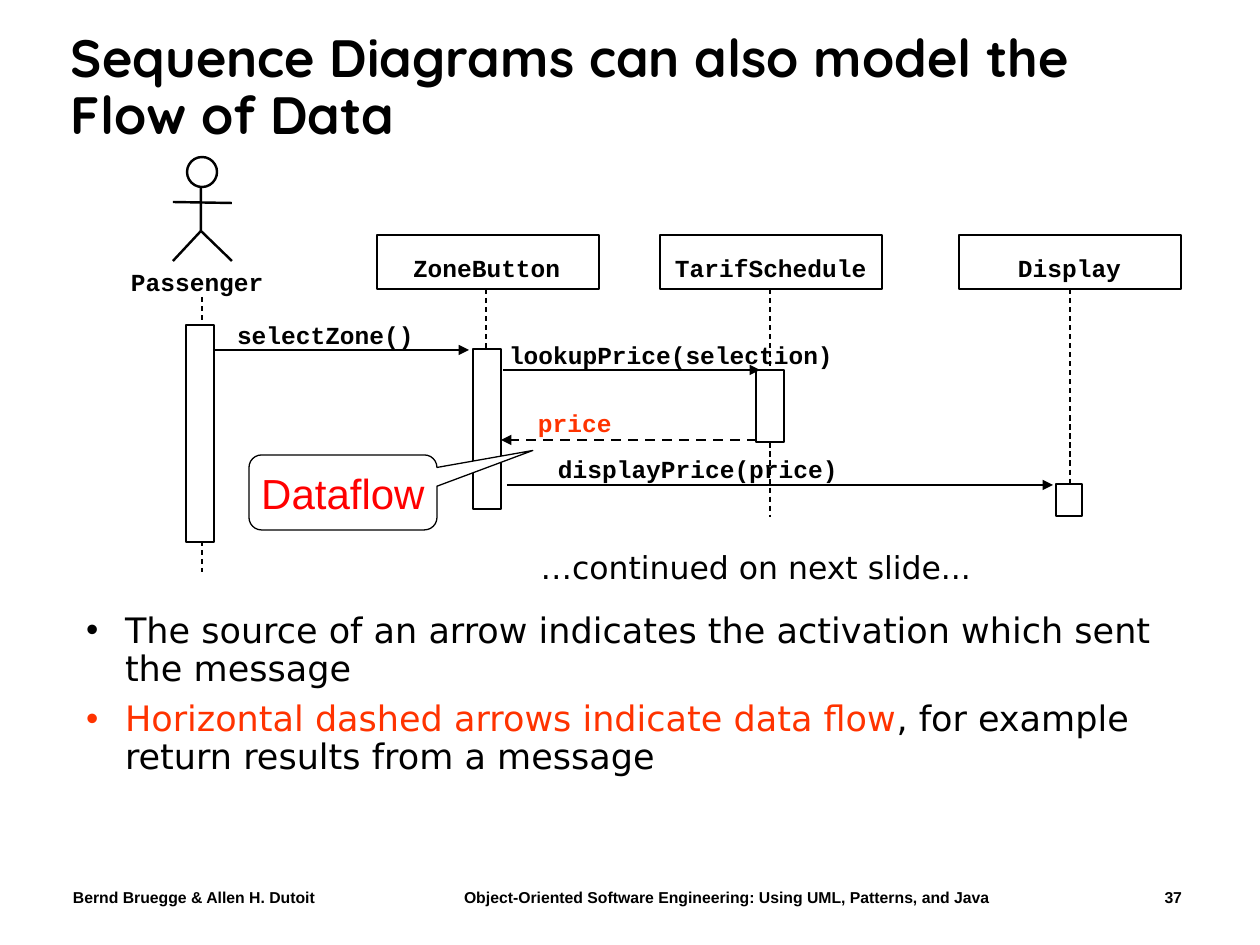
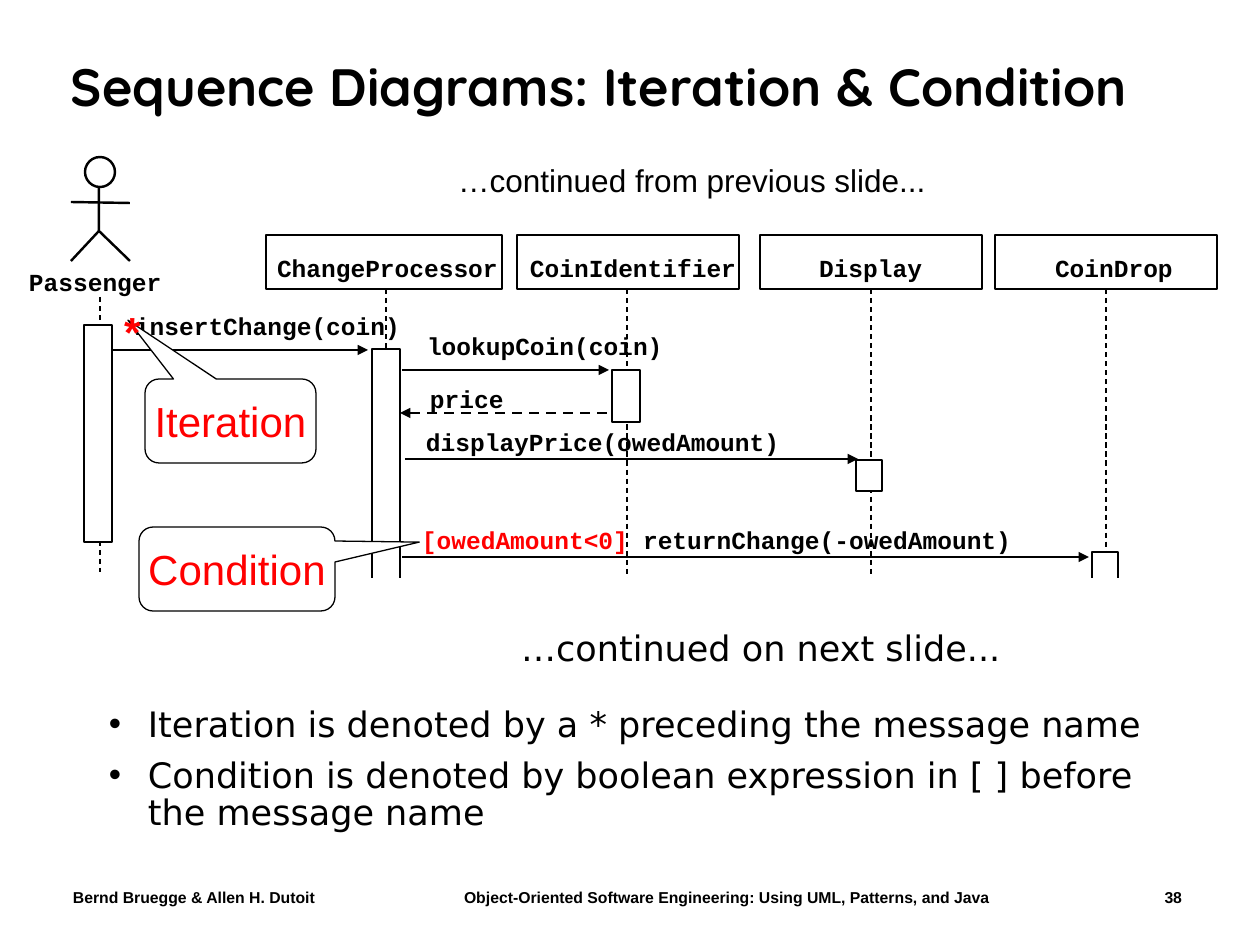
from pptx import Presentation
from pptx.dml.color import RGBColor
from pptx.enum.dml import MSO_LINE as Dash
from pptx.enum.shapes import MSO_CONNECTOR as Link, MSO_SHAPE as Form
from pptx.enum.text import MSO_ANCHOR as Anchor, PP_ALIGN as Align
from pptx.oxml.ns import qn
from pptx.util import Pt
from lxml.etree import SubElement as sub

ink = RGBColor.from_string
PX = 914400 / 126
BLACK, WHITE, RED, FIRE = "000000", "FFFFFF", "FF0000", "FF3300"
THICK, THIN = 1.39, 0.75
HEAD = ("Quicksand", 30, True)
BODY = ("DejaVu Sans", 20, False)
CODE = ("Courier New", 14, True)
CALL = ("Arial", 24, False)
FOOT = ("Arial", 9, True)
FLUSH = (0, 0, 0, 0)
PAD = (13, 6, 13, 6)


def put(slide, box, paras=(), font=CODE, form=None, fill=None, line=None, align=Align.LEFT,
        anchor=Anchor.TOP, pad=PAD, wrap=True, space=1.0, bullet=False):
    spot = [round(v * PX) for v in box]
    if form is None:
        shape = slide.shapes.add_textbox(*spot)
    else:
        shape = slide.shapes.add_shape(form, *spot)
        shape.shadow.inherit = False
    if fill:
        shape.fill.solid()
        shape.fill.fore_color.rgb = ink(fill)
    else:
        shape.fill.background()
    if line:
        shape.line.color.rgb = ink(BLACK)
        shape.line.width = Pt(line)
    else:
        shape.line.fill.background()
    frame = shape.text_frame
    frame.word_wrap = wrap
    frame.vertical_anchor = anchor
    frame.margin_left, frame.margin_top, frame.margin_right, frame.margin_bottom = [
        round(v * PX) for v in pad]
    for i, runs in enumerate(paras):
        para = frame.add_paragraph() if i else frame.paragraphs[0]
        para.alignment = align
        para.line_spacing = space
        if bullet:
            props = para._p.get_or_add_pPr()
            props.set("marL", str(round(39 * PX)))
            props.set("indent", str(round(-39 * PX)))
            sub(props, qn("a:buFont"), typeface="Arial")
            sub(props, qn("a:buChar"), char="•")
            if i:
                para.space_before = Pt(7.5)
        for text, hue in runs:
            run = para.add_run()
            run.text = text
            run.font.name, run.font.size, run.font.bold = font[0], Pt(font[1]), font[2]
            run.font.color.rgb = ink(hue)
    return shape


def wire(slide, ends, width=THICK, dash=False, arrow=False):
    line = slide.shapes.add_connector(Link.STRAIGHT, *[round(v * PX) for v in ends])
    line.line.color.rgb = ink(BLACK)
    line.line.width = Pt(width)
    if dash:
        line.line.dash_style = Dash.DASH
    props = line._element.spPr
    if arrow:
        sub(props.find(qn("a:ln")), qn("a:tailEnd"), type="triangle")
    sub(props, qn("a:effectLst"))


pages = [
    {
        "title": "Sequence Diagrams can also model the Flow of Data",
        "number": "37",
        "actor": 202,
        "roles": [
            ("ZoneButton", 413, 377, 222, 486, 509),
            ("TarifSchedule", 675, 660, 222, 770, 517),
            ("Display", 1018, 959, 222, 1070, 505),
        ],
        "bars": [(473, 349, 28, 160), (756, 370, 28, 72), (1056, 484, 26, 32)],
        "sends": [(213, 350, 469), (503, 370, 760), (507, 485, 1053)],
        "reply": (757, 440, 501),
        "labels": [
            (237, 320, [("selectZone()", BLACK)]),
            (509, 340, [("lookupPrice(selection)", BLACK)]),
            (538, 408, [("price", FIRE)]),
            (558, 454, [("displayPrice(price)", BLACK)]),
        ],
        "calls": [("Dataflow", (249, 455, 188, 75), (1.01, -0.56))],
        "notes": [
            ("…continued on next slide...", (364, 542, 784, 50), "DejaVu Sans", 18, Anchor.MIDDLE),
        ],
        "frame": (73, 607, 1103, 232),
        "points": [
            [("The source of an arrow indicates the activation which sent the message", BLACK)],
            [("Horizontal dashed arrows indicate data flow", FIRE),
             (", for example return results from a message", BLACK)],
        ],
    },
    {
        "title": "Sequence Diagrams: Iteration & Condition",
        "number": "38",
        "actor": 100,
        "roles": [
            ("ChangeProcessor", 277, 266, 236, 386, 631),
            ("CoinIdentifier", 530, 517, 222, 627, 634),
            ("Display", 819, 760, 222, 871, 634),
            ("CoinDrop", 1055, 995, 222, 1106, 635),
        ],
        "bars": [(372, 349, 28, 263), (612, 370, 28, 52), (856, 460, 26, 31), (1092, 552, 26, 32)],
        "sends": [(111, 350, 368), (402, 370, 609), (405, 459, 858), (402, 557, 1089)],
        "reply": (607, 413, 400),
        "labels": [
            (135, 311, [("insertChange(coin)", BLACK)]),
            (427, 331, [("lookupCoin(coin)", BLACK)]),
            (430, 384, [("price", BLACK)]),
            (426, 427, [("displayPrice(owedAmount)", BLACK)]),
            (422, 525, [("[owedAmount<0]", RED), (" returnChange(-owedAmount)", BLACK)]),
        ],
        "calls": [
            ("Iteration", (145, 379, 171, 84), (-0.6, -1.2)),
            ("Condition", (139, 527, 196, 84), (0.93, -0.32)),
        ],
        "notes": [
            ("…continued on next slide...", (369, 578, 784, 97), "DejaVu Sans", 20, Anchor.BOTTOM),
            ("…continued from previous slide...", (300, 155, 784, 50), "Arial", 18, Anchor.MIDDLE),
        ],
        "frame": (96, 701, 1071, 179),
        "points": [
            [("Iteration is denoted by a * preceding the message name", BLACK)],
            [("Condition is denoted by boolean expression in [ ] before the message name", BLACK)],
        ],
    },
]

deck = Presentation()
deck.slide_width, deck.slide_height = round(1260 * PX), round(945 * PX)

for page in pages:
    slide = deck.slides.add_slide(deck.slide_layouts[6])
    put(slide, (58, 30, 1124, 118), [[(page["title"], BLACK)]], HEAD,
        anchor=Anchor.MIDDLE, space=0.9)
    put(slide, page["frame"], page["points"], BODY, space=0.9, bullet=True)
    for text, left, width, align in [
        ("Bernd Bruegge & Allen H. Dutoit", 73, 300, Align.LEFT),
        ("Object-Oriented Software Engineering: Using UML, Patterns, and Java", 464, 560, Align.LEFT),
        (page["number"], 1120, 62, Align.RIGHT),
    ]:
        put(slide, (left, 888, width, 20), [[(text, BLACK)]], FOOT, align=align, pad=FLUSH)

    mid = page["actor"]
    wire(slide, (mid, 297, mid, 572), THIN, dash=True)
    pen = slide.shapes.build_freeform(mid - 1, 179, scale=PX)
    pen.add_line_segments([(mid - 1, 231), (mid - 29, 261)], close=False)
    leg = pen.convert_to_shape()
    leg.shadow.inherit = False
    leg.fill.background()
    leg.line.color.rgb = ink(BLACK)
    leg.line.width = Pt(THICK)
    wire(slide, (mid - 1, 231, mid + 30, 261))
    wire(slide, (mid - 29, 202, mid + 30, 203))
    put(slide, (mid - 15, 157, 30, 30), form=Form.OVAL, fill=WHITE, line=THICK)
    put(slide, (mid - 71, 267, 136, 29), [[("Passenger", BLACK)]], pad=FLUSH)

    for name, start, left, width, axis, foot in page["roles"]:
        put(slide, (left, 235, width, 54), [[(name, BLACK)]], form=Form.RECTANGLE,
            line=THICK, pad=(start - left, 18, 0, 0))
        wire(slide, (axis, 289, axis, foot), THIN, dash=True)
    for bar in [(mid - 16, 325, 28, 217)] + page["bars"]:
        put(slide, bar, form=Form.RECTANGLE, fill=WHITE, line=THICK)
    for start, top, end in page["sends"]:
        wire(slide, (start, top, end, top), arrow=True)
    start, top, end = page["reply"]
    wire(slide, (start, top, end, top), dash=True, arrow=True)
    for left, top, runs in page["labels"]:
        size = sum(len(text) for text, hue in runs)
        put(slide, (left, top, size * 15 + 4, 29), [runs], pad=FLUSH)

    for text, box, tip in page["calls"]:
        call = put(slide, box, [[(text, RED)]], CALL, Form.ROUNDED_RECTANGULAR_CALLOUT,
                   WHITE, THIN, Align.CENTER, Anchor.MIDDLE, wrap=False)
        call.adjustments[0], call.adjustments[1] = tip
    for text, box, face, size, anchor in page["notes"]:
        put(slide, box, [[(text, BLACK)]], (face, size, False), Form.RECTANGLE, WHITE,
            align=Align.CENTER, anchor=anchor)

put(slide, (111, 299, 42, 63), [[("*", RED)]], ("Arial", 24, True),
    align=Align.CENTER, anchor=Anchor.MIDDLE, wrap=False)

deck.save("out.pptx")
